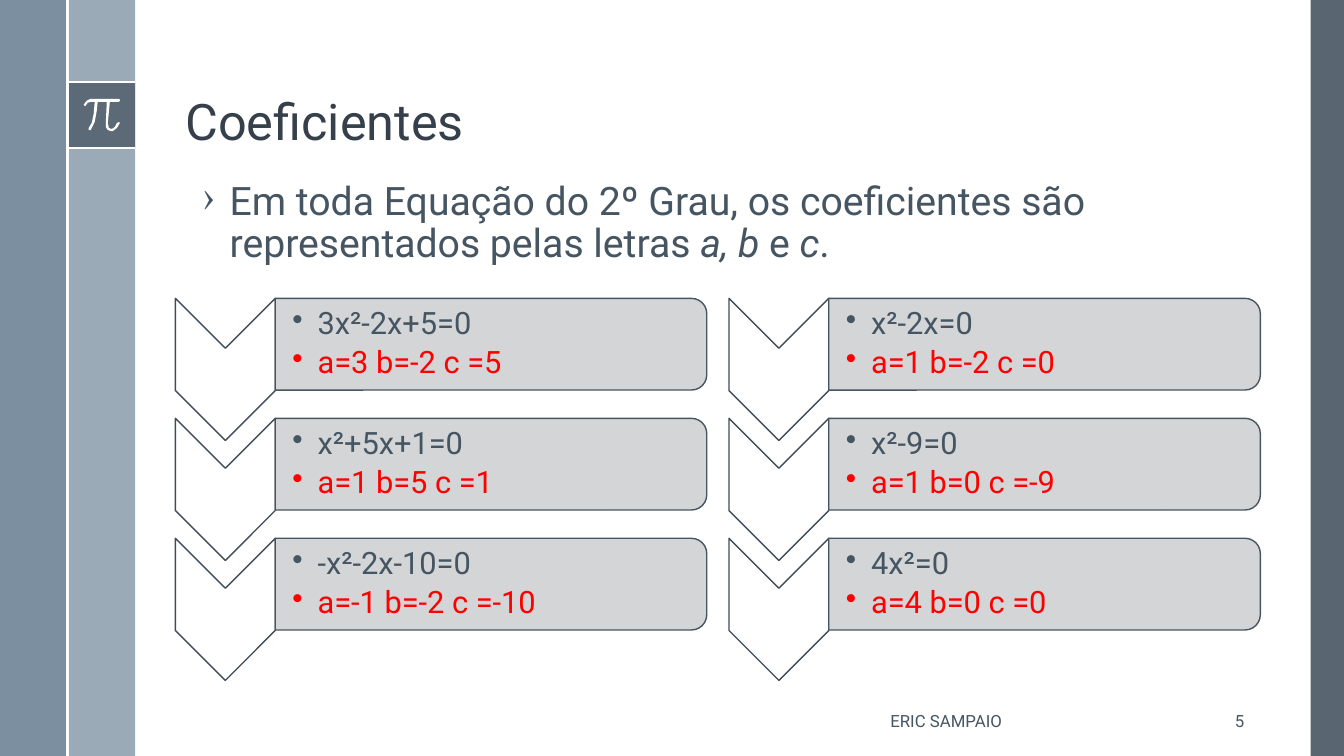
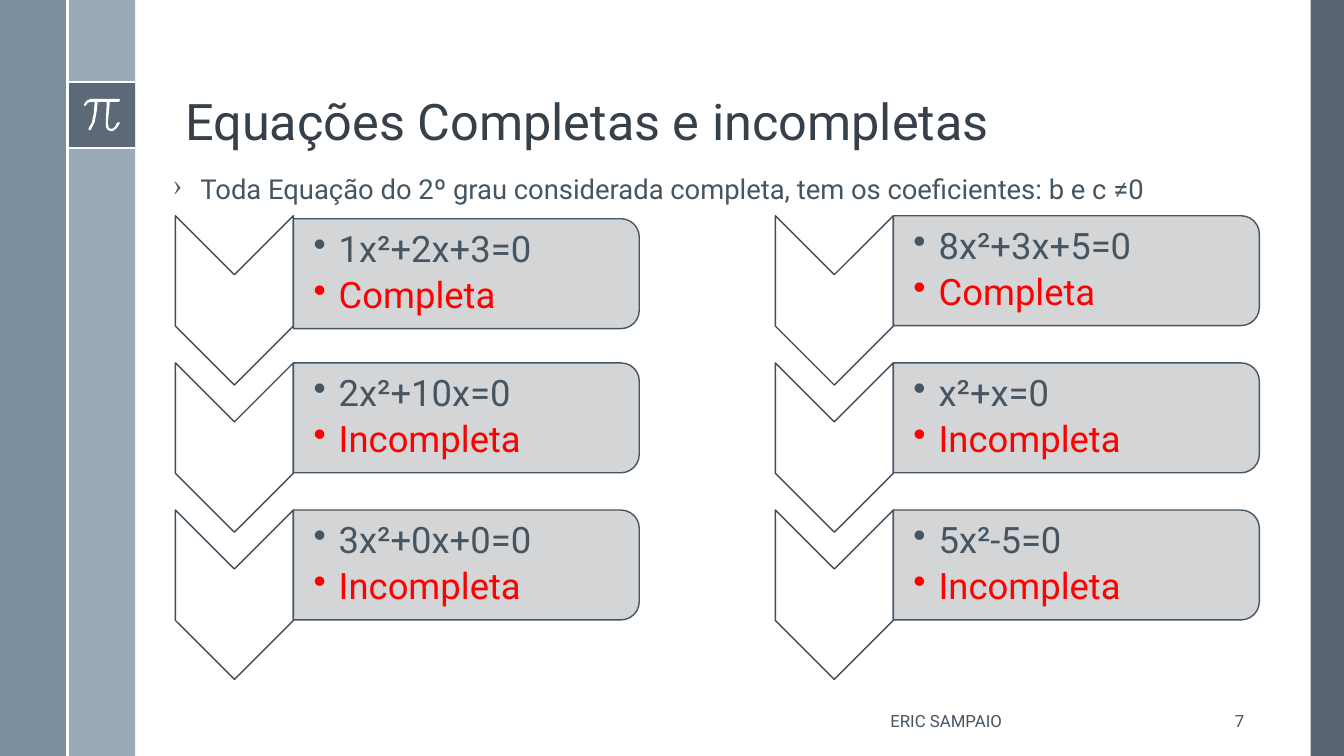
from dataclasses import dataclass

from lxml import etree
from pptx import Presentation
from pptx.dml.color import RGBColor
from pptx.enum.shapes import MSO_CONNECTOR, MSO_SHAPE
from pptx.enum.text import MSO_ANCHOR, PP_ALIGN
from pptx.oxml.ns import qn
from pptx.util import Pt

PX = 9144
RECTANGLE = MSO_SHAPE.RECTANGLE
CHEVRON = MSO_SHAPE.CHEVRON
CARD = MSO_SHAPE.ROUND_2_SAME_RECTANGLE
STRAIGHT = MSO_CONNECTOR.STRAIGHT
TOP, MIDDLE, BOTTOM = MSO_ANCHOR.TOP, MSO_ANCHOR.MIDDLE, MSO_ANCHOR.BOTTOM
LEFT, CENTER, RIGHT = PP_ALIGN.LEFT, PP_ALIGN.CENTER, PP_ALIGN.RIGHT


@dataclass(frozen=True)
class Theme:
    font: str = "Roboto"
    white: str = "FFFFFF"
    title: str = "35404A"
    text: str = "465562"
    answer: str = "FF0000"
    dark_band: str = "475562"
    middle_band: str = "9BAAB7"
    left_band: str = "6A8093"
    card: str = "CFD1D3"
    chevron_line: str = "404D59"
    title_size: float = 36
    footer_size: float = 12


@dataclass(frozen=True)
class ChevronList:
    top: int
    pitch: int
    chevron_width: int
    chevron_height: int
    card_height: int
    inset: int
    size: int


THEME = Theme()
SLIDE_WIDTH, SLIDE_HEIGHT = 1333, 750
COEFFICIENT_LIST = ChevronList(296, 119, 99, 141, 91, 17, 22)
COMPLETENESS_LIST = ChevronList(214, 146, 117, 168, 109, 20, 26)
PI_OUTLINE = [
    (118, 98), (90, 98), (86, 100), (83, 104), (84, 105), (85, 105), (87, 102),
    (90, 101), (94, 101), (93, 113), (91, 122), (88, 127), (88, 129), (90, 129),
    (94, 121), (96, 110), (97, 101), (106, 101), (105, 122), (105, 126),
    (107, 129), (110, 130), (112, 130), (116, 127), (119, 122), (118, 121),
    (116, 122), (114, 126), (111, 128), (108, 127), (107, 122), (109, 101),
    (118, 101), (119, 100), (119, 99),
]


def color(value):
    return RGBColor.from_string(value)


def paint(shape, fill, alpha=100, line=None):
    shape.shadow.inherit = False
    shape.fill.solid()
    shape.fill.fore_color.rgb = color(fill)
    if alpha < 100:
        fill_color = shape.fill._xPr.find(qn("a:solidFill"))[0]
        etree.SubElement(fill_color, qn("a:alpha"), val=str(alpha * 1000))
    if line:
        shape.line.color.rgb = color(line)
        shape.line.width = Pt(1)
    else:
        shape.line.fill.background()


def add_band(slide, left, top, width, height, fill, alpha=100):
    shape = slide.shapes.add_shape(
        RECTANGLE, left * PX, top * PX, width * PX, height * PX)
    paint(shape, fill, alpha)


def add_turned_shape(slide, kind, left, top, width, height):
    shift = (width - height) * PX // 2
    shape = slide.shapes.add_shape(
        kind, left * PX + shift, top * PX - shift, height * PX, width * PX)
    shape.rotation = 90
    return shape


def add_rule(slide, left, top, right, bottom):
    connector = slide.shapes.add_connector(
        STRAIGHT, left * PX, top * PX, right * PX, bottom * PX)
    connector.line.color.rgb = color(THEME.white)
    connector.line.width = Pt(1.5)
    etree.SubElement(connector._element.spPr, qn("a:effectLst"))


def add_pi(slide):
    builder = slide.shapes.build_freeform(*PI_OUTLINE[0], scale=PX)
    builder.add_line_segments(PI_OUTLINE[1:], close=True)
    paint(builder.convert_to_shape(), THEME.white)


def add_text_frame(slide, left, top, width, height, anchor, insets=(10, 5, 10, 5)):
    box = slide.shapes.add_textbox(left * PX, top * PX, width * PX, height * PX)
    frame = box.text_frame
    frame.word_wrap = True
    frame.vertical_anchor = anchor
    (frame.margin_left, frame.margin_top,
     frame.margin_right, frame.margin_bottom) = [inset * PX for inset in insets]
    return frame


def style(paragraph, size, fill, align=LEFT, spacing=1.0):
    paragraph.alignment = align
    paragraph.line_spacing = spacing
    for run in paragraph.runs:
        run.font.name = THEME.font
        run.font.size = Pt(size)
        run.font.color.rgb = color(fill)


def add_bullet(paragraph, character, indent):
    properties = paragraph._p.get_or_add_pPr()
    properties.set("marL", str(indent * PX))
    properties.set("indent", str(-indent * PX))
    etree.SubElement(properties, qn("a:buChar"), char=character)


def add_label(slide, text, left, top, width, height, size, fill, align, anchor,
              spacing=1.0):
    frame = add_text_frame(slide, left, top, width, height, anchor)
    frame.text = text
    style(frame.paragraphs[0], size, fill, align, spacing)


def add_statement(slide, parts, left, top, width, height, size, spacing):
    frame = add_text_frame(slide, left, top, width, height, TOP)
    paragraph = frame.paragraphs[0]
    add_bullet(paragraph, "›", 27)
    for text, italic in parts:
        run = paragraph.add_run()
        run.text = text
        run.font.italic = italic
    style(paragraph, size, THEME.text, spacing=spacing)


def add_example(slide, layout, left, top, card_width, equation, answer, nudge):
    chevron = add_turned_shape(slide, CHEVRON, left, top,
                               layout.chevron_width, layout.chevron_height)
    paint(chevron, THEME.white, line=THEME.chevron_line)
    area = (left + layout.chevron_width, top + nudge, card_width, layout.card_height)
    card = add_turned_shape(slide, CARD, *area)
    paint(card, THEME.card, 90, THEME.text)
    frame = add_text_frame(slide, *area, MIDDLE, (layout.inset, 2, 2, 2))
    frame.text = f"{equation}\n{answer}"
    for paragraph, fill in zip(frame.paragraphs, (THEME.text, THEME.answer)):
        add_bullet(paragraph, "•", 25)
        style(paragraph, layout.size, fill, spacing=0.9)
        paragraph.space_after = Pt(round(layout.size * 0.18, 1))


def add_examples(slide, layout, left, card_width, examples, first_nudge=0):
    for index, (equation, answer) in enumerate(examples):
        add_example(slide, layout, left, layout.top + index * layout.pitch,
                    card_width, equation, answer, 0 if index else first_nudge)


def add_base_slide(presentation, title, number):
    slide = presentation.slides.add_slide(presentation.slide_layouts[6])
    add_band(slide, 1300, 0, 33, SLIDE_HEIGHT, THEME.dark_band, 90)
    add_band(slide, 67, 0, 67, SLIDE_HEIGHT, THEME.middle_band)
    add_band(slide, 0, 0, 67, SLIDE_HEIGHT, THEME.left_band, 88)
    add_band(slide, 67, 81, 67, 66, THEME.dark_band, 75)
    for top in (81, 147):
        add_rule(slide, 67, top, 134, top)
    add_pi(slide)
    add_rule(slide, 67, 0, 67, SLIDE_HEIGHT)
    add_label(slide, title, 174, 19, 1070, 136, THEME.title_size, THEME.title,
              LEFT, BOTTOM, 0.9)
    add_label(slide, "ERIC SAMPAIO", 721, 695, 435, 40, THEME.footer_size,
              THEME.text, CENTER, MIDDLE)
    add_label(slide, number, 1177, 695, 67, 40, THEME.footer_size,
              THEME.text, RIGHT, MIDDLE)
    return slide


def add_coefficients_slide(presentation):
    slide = add_base_slide(presentation, "Coeficientes", "5")
    add_statement(slide, [
        ("Em toda Equação do 2º Grau, os coeficientes são representados pelas letras ",
         False),
        ("a, b ", True), ("e ", False), ("c", True), (".", False),
    ], 191, 175, 1053, 113, 28, 0.9)
    add_examples(slide, COEFFICIENT_LIST, 174, 428, [
        ("3x²-2x+5=0", "a=3 b=-2 c =5"),
        ("x²+5x+1=0", "a=1 b=5 c =1"),
        ("-x²-2x-10=0", "a=-1 b=-2 c =-10"),
    ])
    add_examples(slide, COEFFICIENT_LIST, 723, 428, [
        ("x²-2x=0", "a=1 b=-2 c =0"),
        ("x²-9=0", "a=1 b=0 c =-9"),
        ("4x²=0", "a=4 b=0 c =0"),
    ])


def add_completeness_slide(presentation):
    slide = add_base_slide(presentation, "Equações Completas e incompletas", "7")
    add_statement(slide, [
        ("Toda Equação do 2º grau considerada completa, tem os coeficientes: b e c ≠0",
         False),
    ], 162, 175, 1087, 35, 19.6, 0.7)
    add_examples(slide, COMPLETENESS_LIST, 174, 343, [
        ("1x²+2x+3=0", "Completa"),
        ("2x²+10x=0", "Incompleta"),
        ("3x²+0x+0=0", "Incompleta"),
    ], first_nudge=3)
    add_examples(slide, COMPLETENESS_LIST, 769, 363, [
        ("8x²+3x+5=0", "Completa"),
        ("x²+x=0", "Incompleta"),
        ("5x²-5=0", "Incompleta"),
    ])


def main():
    presentation = Presentation()
    presentation.slide_width = SLIDE_WIDTH * PX
    presentation.slide_height = SLIDE_HEIGHT * PX
    add_coefficients_slide(presentation)
    add_completeness_slide(presentation)
    presentation.save("out.pptx")


if __name__ == "__main__":
    main()
